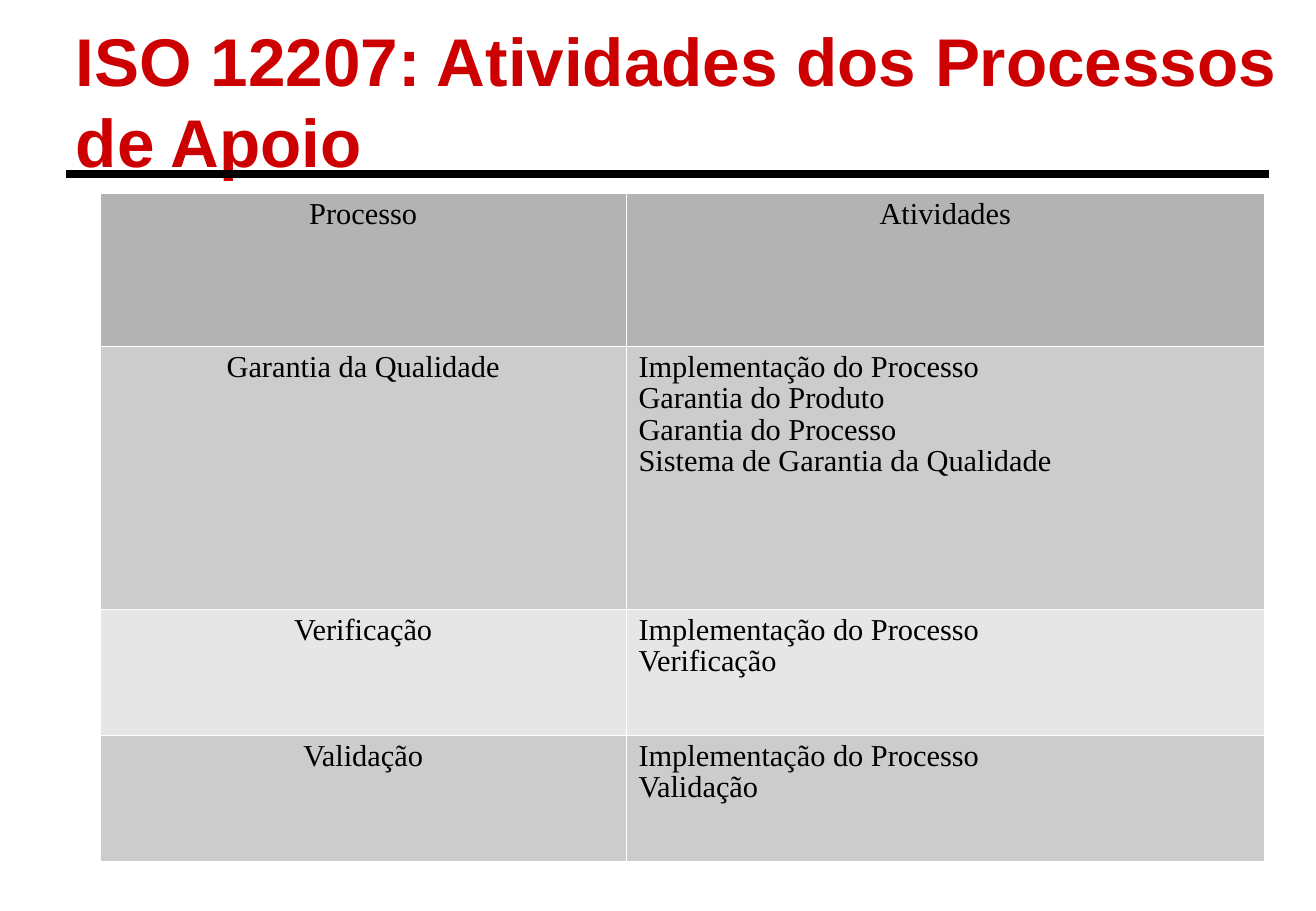
from lxml import etree
from pptx import Presentation
from pptx.dml.color import RGBColor
from pptx.enum.shapes import MSO_CONNECTOR
from pptx.enum.text import MSO_ANCHOR, MSO_AUTO_SIZE, PP_ALIGN
from pptx.oxml.ns import qn
from pptx.util import Pt

LEFT, CENTER = PP_ALIGN.LEFT, PP_ALIGN.CENTER
MIDDLE = MSO_ANCHOR.MIDDLE
NO_AUTOFIT = MSO_AUTO_SIZE.NONE
STRAIGHT = MSO_CONNECTOR.STRAIGHT
TITLE_ONLY = 5

COLORS = {
    "title": "CC0000",
    "text": "000000",
    "rule": "000000",
    "border": "FFFFFF",
    "header": "B3B3B3",
    "odd": "CCCCCC",
    "even": "E6E6E6",
}

PROCESSES = [
    ("Processo", ["Atividades"]),
    ("Garantia da Qualidade", [
        "Implementação do Processo",
        "Garantia do Produto",
        "Garantia do Processo",
        "Sistema de Garantia da Qualidade",
    ]),
    ("Verificação", ["Implementação do Processo", "Verificação"]),
    ("Validação", ["Implementação do Processo", "Validação"]),
]
COLUMN_WIDTHS = [312, 378]
ROW_HEIGHTS = [90.7, 155.7, 74.8, 74.8]


class SlideBuilder:
    title_font = "Arial"
    table_font = "Times New Roman"

    def __init__(self, slide):
        self.slide = slide

    def color(self, name):
        return RGBColor.from_string(COLORS[name])

    def format_paragraph(self, paragraph, font_name, size, color, alignment, bold=False):
        paragraph.alignment = alignment
        for run in paragraph.runs:
            run.font.name = font_name
            run.font.size = Pt(size)
            run.font.bold = bold
            run.font.color.rgb = self.color(color)

    def title(self, text, left, top, width, height):
        shape = self.slide.shapes.title
        shape.left, shape.top = Pt(left), Pt(top)
        shape.width, shape.height = Pt(width), Pt(height)
        text_frame = shape.text_frame
        text_frame.text = text
        text_frame.word_wrap = True
        text_frame.auto_size = NO_AUTOFIT
        text_frame.vertical_anchor = MIDDLE
        text_frame.margin_left = text_frame.margin_right = text_frame.margin_bottom = 0
        text_frame.margin_top = Pt(2.9)
        self.format_paragraph(text_frame.paragraphs[0], self.title_font, 40, "title", LEFT, True)

    def rule(self, left, right, y, width):
        connector = self.slide.shapes.add_connector(STRAIGHT, Pt(left), Pt(y), Pt(right), Pt(y))
        connector.line.color.rgb = self.color("rule")
        connector.line.width = Pt(width)
        etree.SubElement(connector._element.spPr, qn("a:effectLst"))

    def borders(self, cell, width):
        properties = cell._tc.get_or_add_tcPr()
        for index, side in enumerate(("a:lnL", "a:lnR", "a:lnT", "a:lnB")):
            line = etree.Element(qn(side), w=str(Pt(width)))
            fill = etree.SubElement(line, qn("a:solidFill"))
            etree.SubElement(fill, qn("a:srgbClr"), val=COLORS["border"])
            properties.insert(index, line)

    def cell(self, cell, text, fill, alignment):
        cell.fill.solid()
        cell.fill.fore_color.rgb = self.color(fill)
        self.borders(cell, 0.06)
        cell.text_frame.text = text
        for paragraph in cell.text_frame.paragraphs:
            paragraph.line_spacing = 0.93
            self.format_paragraph(paragraph, self.table_font, 18, "text", alignment)

    def table(self, rows, left, top, column_widths, row_heights):
        table = self.slide.shapes.add_table(
            len(rows), len(column_widths), Pt(left), Pt(top),
            Pt(sum(column_widths)), Pt(sum(row_heights))).table
        table.first_row = table.horz_banding = False
        for column, width in zip(table.columns, column_widths):
            column.width = Pt(width)
        for index, (process, activities) in enumerate(rows):
            table.rows[index].height = Pt(row_heights[index])
            fill = "header" if index == 0 else "odd" if index % 2 else "even"
            self.cell(table.cell(index, 0), process, fill, CENTER)
            self.cell(table.cell(index, 1), "\n".join(activities), fill, LEFT if index else CENTER)


def main():
    presentation = Presentation()
    presentation.slide_width, presentation.slide_height = Pt(780), Pt(540)
    slide = presentation.slides.add_slide(presentation.slide_layouts[TITLE_ONLY])
    builder = SlideBuilder(slide)

    # Title and the rule below it
    builder.title("ISO 12207: Atividades dos Processos\vde Apoio", 45, 13, 769, 90)
    builder.rule(39, 752, 103, 4.5)

    # Table of support processes and their activities
    builder.table(PROCESSES, 59.3, 114.7, COLUMN_WIDTHS, ROW_HEIGHTS)

    presentation.save("out.pptx")


if __name__ == "__main__":
    main()
